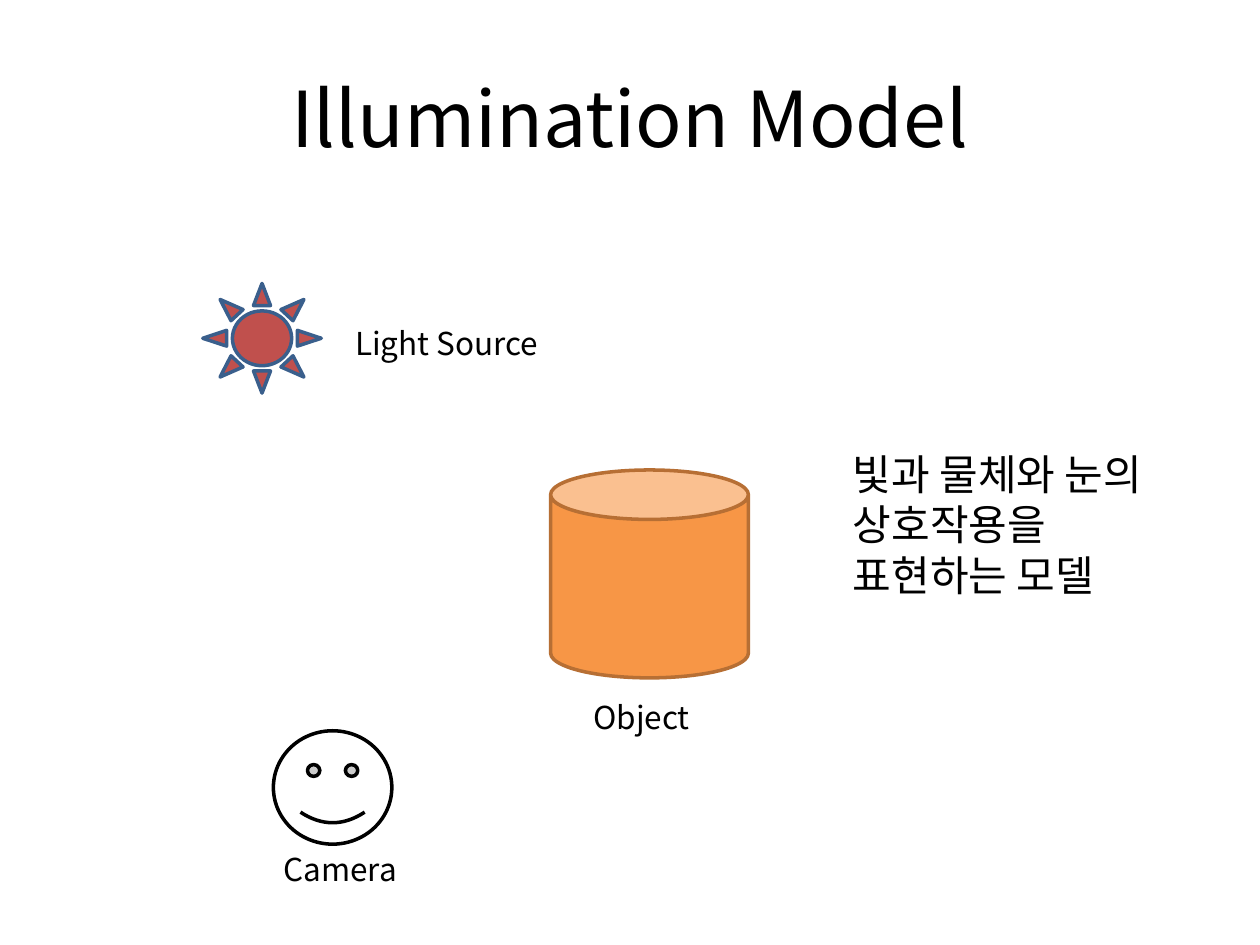
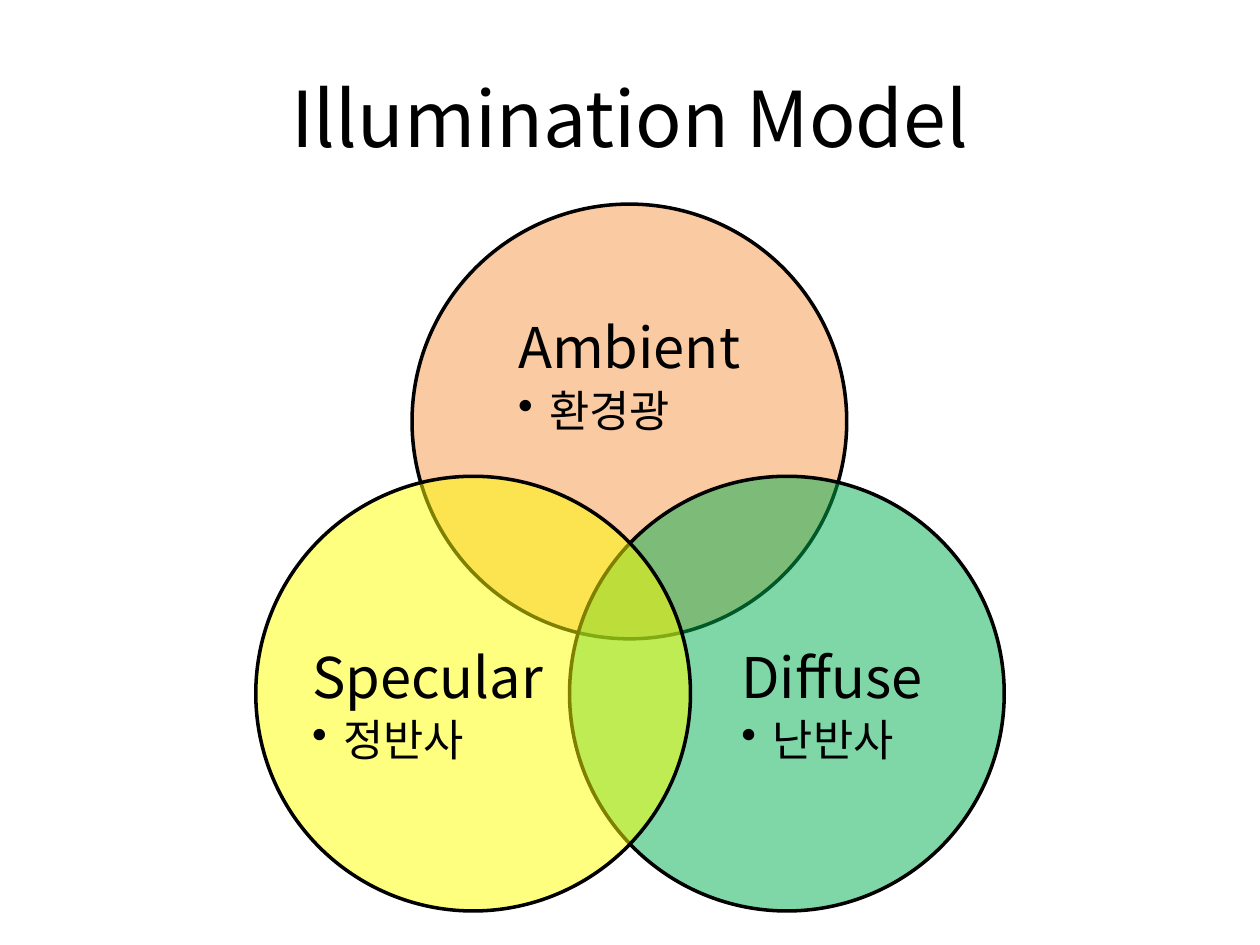
import math
from dataclasses import dataclass

from lxml import etree
from pptx import Presentation
from pptx import util as u
from pptx.dml.color import RGBColor
from pptx.enum import shapes, text
from pptx.oxml.ns import qn


@dataclass(frozen=True)
class Theme:
    font: str = "Noto Sans CJK KR"
    ink: str = "000000"
    paper: str = "FFFFFF"
    sun: str = "C0504D"
    sun_edge: str = "3A5F8C"
    orange: str = "F79646"
    orange_edge: str = "B76F34"
    green: str = "00B050"
    yellow: str = "FFFF00"
    title_size: int = 44
    term_size: int = 32
    detail_size: int = 25
    note_size: int = 24
    label_size: int = 18
    edge_width: int = 2


THEME = Theme()
TITLE = "Illumination Model"
TITLE_BOX = (0.5, 0.3, 9, 1.25)
SCENE_BOX = (1.6, 2.25, 7.9, 4.85)
VENN_BOX = (2.03, 1.62, 5.94, 5.61)


def inches(box):
    return [u.Inches(round(length, 2)) for length in box]


def write(frame, content, size, first=False, bullet=False, align=None, line_spacing=None, after=None):
    """Put one formatted paragraph into a text frame."""
    paragraph = frame.paragraphs[0] if first else frame.add_paragraph()
    if bullet:
        properties = paragraph._p.get_or_add_pPr()
        indent = u.Inches(0.25)
        properties.set("marL", str(indent))
        properties.set("indent", str(-indent))
        etree.SubElement(properties, qn("a:buChar")).set("char", "•")
    if align is not None:
        paragraph.alignment = align
    if line_spacing:
        paragraph.line_spacing = line_spacing
    if after is not None:
        paragraph.space_after = u.Pt(after)
    run = paragraph.add_run()
    run.text = content
    run.font.name = THEME.font
    run.font.size = u.Pt(size)
    run.font.color.rgb = RGBColor.from_string(THEME.ink)
    east_asian = etree.SubElement(run._r.get_or_add_rPr(), qn("a:ea"))
    east_asian.set("typeface", THEME.font)


def add_frame(slide, box, anchor=text.MSO_ANCHOR.TOP):
    frame = slide.shapes.add_textbox(*inches(box)).text_frame
    frame.word_wrap = True
    frame.vertical_anchor = anchor
    return frame


def add_figure(slide, preset, box, fill, edge, opacity=None):
    figure = slide.shapes.add_shape(preset, *inches(box))
    figure.shadow.inherit = False
    figure.fill.solid()
    figure.fill.fore_color.rgb = RGBColor.from_string(fill)
    figure.line.color.rgb = RGBColor.from_string(edge)
    figure.line.width = u.Pt(THEME.edge_width)
    if opacity is not None:
        colour = figure._element.spPr.find(qn("a:solidFill"))[0]
        etree.SubElement(colour, qn("a:alpha")).set("val", str(opacity * 1000))


def add_title(slide, box):
    frame = add_frame(slide, box, text.MSO_ANCHOR.MIDDLE)
    write(frame, TITLE, THEME.title_size, first=True, align=text.PP_ALIGN.CENTER)


def add_scene(slide, box):
    """Light, object and camera with their labels, and the note beside them."""
    left, top = box[:2]
    preset = shapes.MSO_SHAPE
    figures = [
        (preset.SUN, (0.01, 0, 0.94, 0.87), THEME.sun, THEME.sun_edge),
        (preset.CAN, (2.77, 1.48, 1.57, 1.65), THEME.orange, THEME.orange_edge),
        (preset.SMILEY_FACE, (0.57, 3.55, 0.94, 0.9), THEME.paper, THEME.ink),
    ]
    for kind, (x, y, width, height), fill, edge in figures:
        add_figure(slide, kind, (left + x, top + y, width, height), fill, edge)

    labels = [("Light Source", 1.12, 0.27), ("Object", 3.01, 3.24), ("Camera", 0.55, 4.45)]
    for label, x, y in labels:
        frame = add_frame(slide, (left + x, top + y, 1.81, 0.4))
        write(frame, label, THEME.label_size, first=True)

    note = add_frame(slide, (left + 5.07, top + 1.26, 2.83, 1.31))
    write(note, "빛과 물체와 눈의 상호작용을 표현하는 모델", THEME.note_size, first=True)


def add_term(slide, box, term, detail):
    """A term over its bullet, centred as one left-aligned block."""
    frame = add_frame(slide, box, text.MSO_ANCHOR.MIDDLE)
    frame.margin_left = frame.margin_right = frame.margin_top = frame.margin_bottom = 0
    frame._txBody.bodyPr.set("anchorCtr", "1")
    write(frame, term, THEME.term_size, first=True, line_spacing=0.9, after=5)
    write(frame, detail, THEME.detail_size, bullet=True, line_spacing=0.9, after=2)


def add_venn(slide, box):
    """Three equal circles whose centres form an equilateral triangle."""
    left, top, width, _ = box
    diameter = 3.45
    orbit = diameter * 5 / 12
    middle_x = left + width / 2
    middle_y = top + diameter / 2 + orbit
    # Text areas are fractions of the circle: left, top, width, height
    components = [
        ("Ambient", "환경광", THEME.orange, -90, (0.133, 0.177, 0.733, 0.45)),
        ("Diffuse", "난반사", THEME.green, 30, (0.305, 0.258, 0.6, 0.55)),
        ("Specular", "정반사", THEME.yellow, 150, (0.095, 0.258, 0.6, 0.55)),
    ]
    for term, detail, fill, degrees, area in components:
        angle = math.radians(degrees)
        x = middle_x + orbit * math.cos(angle) - diameter / 2
        y = middle_y + orbit * math.sin(angle) - diameter / 2
        add_figure(slide, shapes.MSO_SHAPE.OVAL, (x, y, diameter, diameter),
                   fill, THEME.ink, opacity=50)
        dx, dy, area_width, area_height = (diameter * part for part in area)
        add_term(slide, (x + dx, y + dy, area_width, area_height), term, detail)


def main():
    deck = Presentation()
    deck.slide_width, deck.slide_height = u.Inches(10), u.Inches(7.5)
    for add_body, box in [(add_scene, SCENE_BOX), (add_venn, VENN_BOX)]:
        slide = deck.slides.add_slide(deck.slide_layouts[6])
        add_title(slide, TITLE_BOX)
        add_body(slide, box)
    deck.save("out.pptx")


if __name__ == "__main__":
    main()
